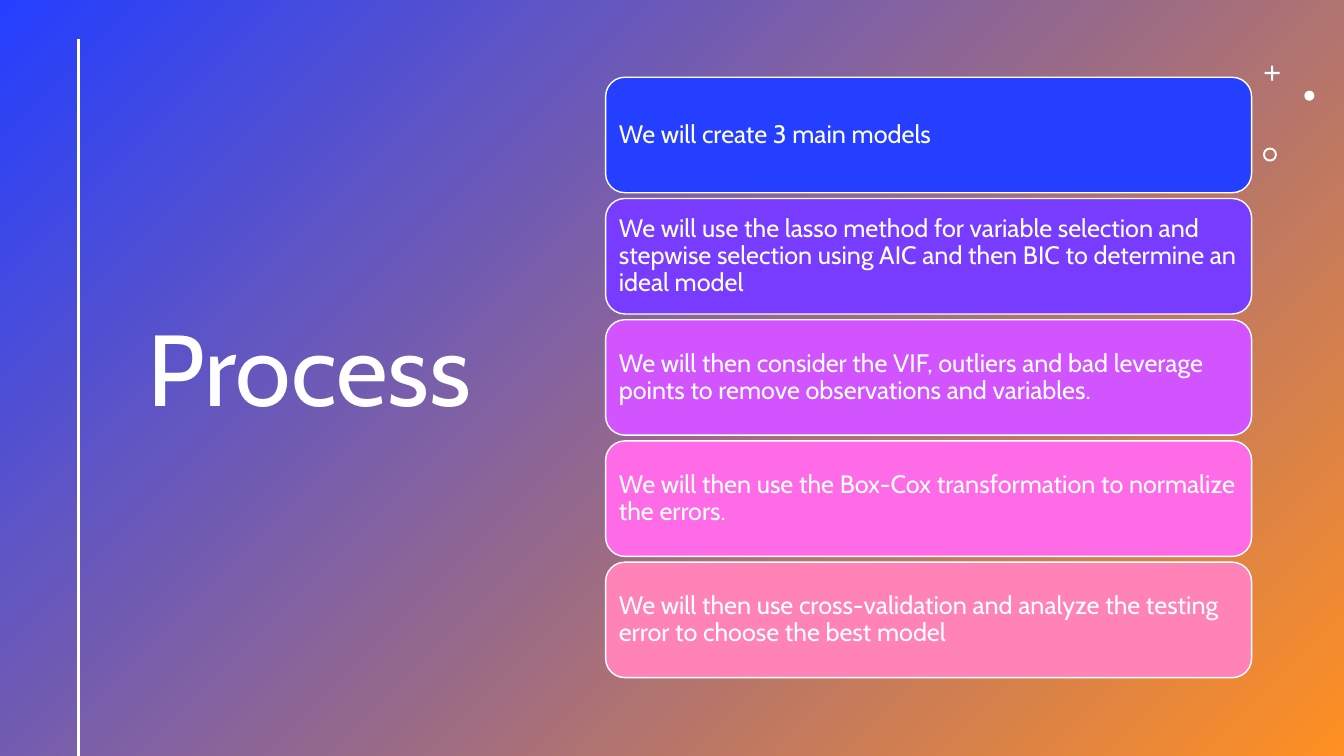
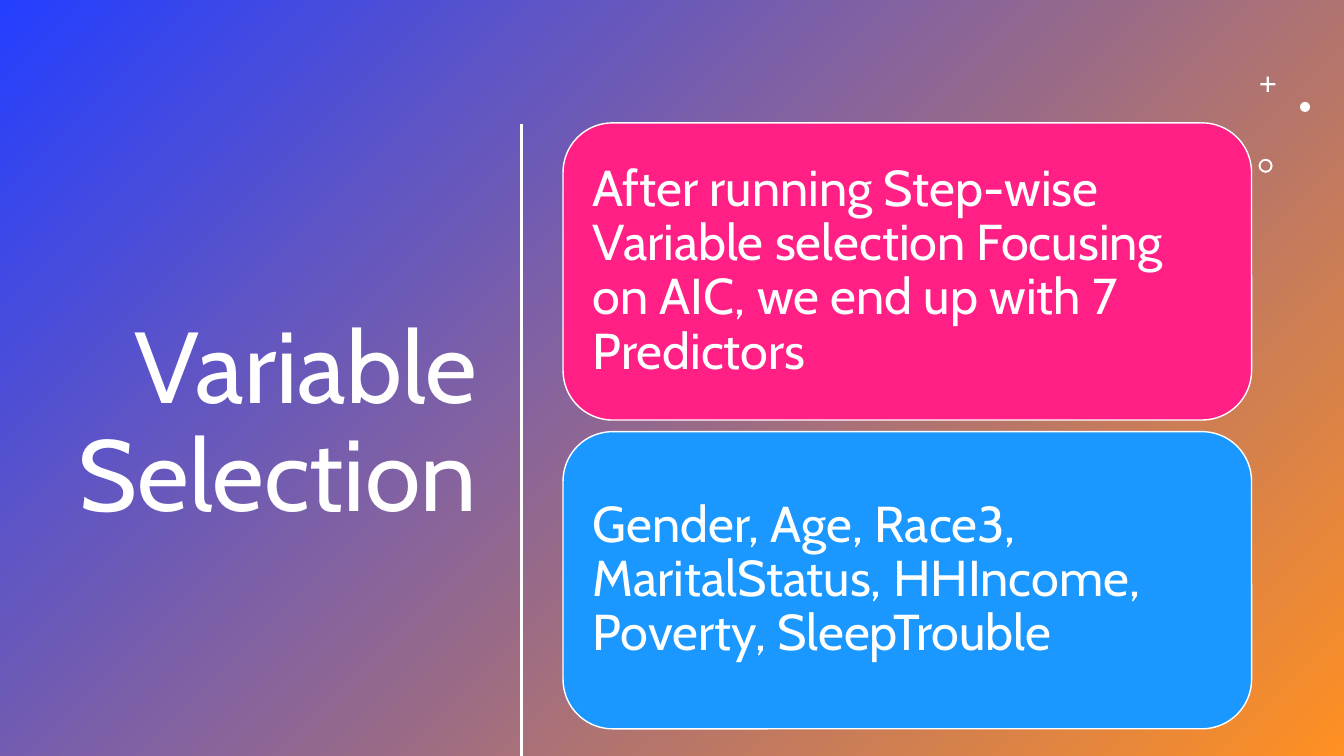
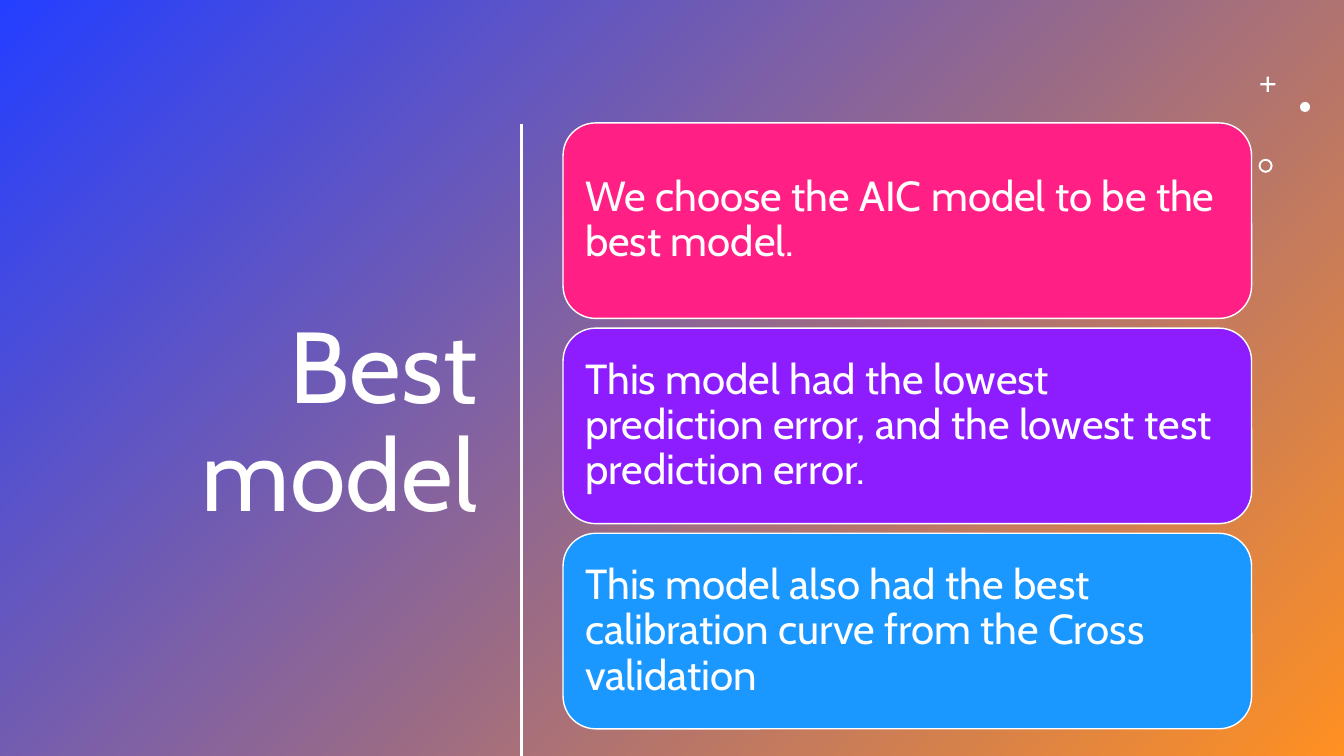
from dataclasses import dataclass

from lxml.etree import SubElement
from pptx import Presentation
from pptx.dml.color import RGBColor
from pptx.enum.shapes import MSO_CONNECTOR, MSO_SHAPE
from pptx.enum.text import MSO_ANCHOR, PP_ALIGN
from pptx.oxml.ns import qn
from pptx.shapes.autoshape import Shape
from pptx.slide import Slide
from pptx.text.text import TextFrame
from pptx.util import Pt

PAGE_WIDTH, PAGE_HEIGHT = 960, 540
FONT = "Cabin"
TITLE_SIZE = 72
LINE_SPACING = 0.9
# Card padding and gaps grow with the text size.
INSET_RATIO = 0.3
GAP_RATIO = 0.23

WHITE = RGBColor(0xFF, 0xFF, 0xFF)
BLUE = RGBColor(0x24, 0x3F, 0xFF)
ORANGE = RGBColor(0xFF, 0x90, 0x22)
INDIGO = RGBColor(0x77, 0x3C, 0xFF)
ORCHID = RGBColor(0xD1, 0x54, 0xFF)
PINK = RGBColor(0xFF, 0x6B, 0xE7)
ROSE = RGBColor(0xFF, 0x83, 0xB6)
MAGENTA = RGBColor(0xFF, 0x1F, 0x85)
VIOLET = RGBColor(0x8D, 0x1D, 0xFF)
SKY = RGBColor(0x1A, 0x98, 0xFF)


@dataclass(frozen=True)
class Box:
    left: float
    top: float
    width: float
    height: float


@dataclass(frozen=True)
class Layout:
    title: Box
    align: PP_ALIGN
    rule_x: float
    rule_top: float
    cards: Box
    ornament_x: float
    ornament_y: float


@dataclass(frozen=True)
class Ornament:
    kind: MSO_SHAPE
    dx: float
    dy: float
    size: float
    adjustment: float | None = None


@dataclass(frozen=True)
class Card:
    text: str
    color: RGBColor


@dataclass(frozen=True)
class Content:
    title: str
    layout: Layout
    text_size: float
    cards: tuple[Card, ...]


ORNAMENTS = (
    Ornament(MSO_SHAPE.CROSS, 0, 0, 10.8, 0.43),
    Ornament(MSO_SHAPE.OVAL, 28.4, 18, 7.2),
    Ornament(MSO_SHAPE.DONUT, -1.2, 58.6, 10, 0.14),
)

RULE_LEFT = Layout(Box(98.6, 46.8, 310.4, 440), PP_ALIGN.LEFT, 56.1, 28,
                   Box(432.6, 55.2, 461.4, 428.8), 903.3, 46.8)
RULE_MIDDLE = Layout(Box(37.4, 83.5, 310.4, 440), PP_ALIGN.RIGHT, 372.4, 88.5,
                     Box(402.2, 87.8, 491.8, 432.8), 900.2, 54.8)

SLIDES = (
    Content("Process", RULE_LEFT, 18, (
        Card("We will create 3 main models", BLUE),
        Card("We will use the lasso method for variable selection and stepwise "
             "selection using AIC and then BIC to determine an ideal model", INDIGO),
        Card("We will then consider the VIF, outliers and bad leverage points "
             "to remove observations and variables.", ORCHID),
        Card("We will then use the Box-Cox transformation to normalize the errors.", PINK),
        Card("We will then use cross-validation and analyze the testing error "
             "to choose the best model", ROSE),
    )),
    Content("Variable Selection", RULE_MIDDLE, 36, (
        Card("After running Step-wise Variable selection Focusing on AIC, "
             "we end up with 7 Predictors", MAGENTA),
        Card("Gender, Age, Race3, MaritalStatus, HHIncome, Poverty, SleepTrouble", SKY),
    )),
    Content("Best model", RULE_MIDDLE, 30, (
        Card("We choose the AIC model to be the best model.", MAGENTA),
        Card("This model had the lowest prediction error, and the lowest test "
             "prediction error.", VIOLET),
        Card("This model also had the best calibration curve from the Cross validation", SKY),
    )),
)


def add_flat_shape(page: Slide, kind: MSO_SHAPE, box: Box) -> Shape:
    """Add a preset shape without shadow or outline."""
    shape = page.shapes.add_shape(
        kind, Pt(box.left), Pt(box.top), Pt(box.width), Pt(box.height))
    shape.shadow.inherit = False
    shape.line.fill.background()
    return shape


def fill_solid(shape: Shape, color: RGBColor) -> None:
    shape.fill.solid()
    shape.fill.fore_color.rgb = color


def write_text(frame: TextFrame, text: str, size: float, align: PP_ALIGN) -> None:
    frame.word_wrap = True
    frame.vertical_anchor = MSO_ANCHOR.MIDDLE
    para = frame.paragraphs[0]
    para.text = text
    para.alignment = align
    para.line_spacing = LINE_SPACING
    para.font.name = FONT
    para.font.size = Pt(size)
    para.font.color.rgb = WHITE


def add_backdrop(page: Slide) -> None:
    backdrop = add_flat_shape(page, MSO_SHAPE.RECTANGLE, Box(0, 0, PAGE_WIDTH, PAGE_HEIGHT))
    backdrop.fill.gradient()
    backdrop.fill.gradient_angle = 315
    for stop, color in zip(backdrop.fill.gradient_stops, (BLUE, ORANGE)):
        stop.color.rgb = color


def add_title(page: Slide, text: str, layout: Layout) -> None:
    area = layout.title
    box = page.shapes.add_textbox(
        Pt(area.left), Pt(area.top), Pt(area.width), Pt(area.height))
    write_text(box.text_frame, text, TITLE_SIZE, layout.align)


def add_rule(page: Slide, x: float, top: float) -> None:
    """Draw the vertical line that runs off the foot of the page."""
    rule = page.shapes.add_connector(
        MSO_CONNECTOR.STRAIGHT, Pt(x), Pt(top), Pt(x), Pt(PAGE_HEIGHT))
    rule.line.color.rgb = WHITE
    rule.line.width = Pt(2)
    SubElement(rule._element.spPr, qn("a:effectLst"))


def add_ornaments(page: Slide, x: float, y: float) -> None:
    for item in ORNAMENTS:
        shape = add_flat_shape(
            page, item.kind, Box(x + item.dx, y + item.dy, item.size, item.size))
        fill_solid(shape, WHITE)
        if item.adjustment is not None:
            shape.adjustments[0] = item.adjustment


def add_cards(page: Slide, cards: tuple[Card, ...], area: Box, text_size: float) -> None:
    """Stack equal cards so that they fill the area."""
    gap = GAP_RATIO * text_size
    height = (area.height - gap * (len(cards) - 1)) / len(cards)
    inset = Pt(INSET_RATIO * text_size)
    for index, card in enumerate(cards):
        top = area.top + index * (height + gap)
        shape = add_flat_shape(
            page, MSO_SHAPE.ROUNDED_RECTANGLE, Box(area.left, top, area.width, height))
        fill_solid(shape, card.color)
        shape.line.color.rgb = WHITE
        shape.line.width = Pt(1)
        frame = shape.text_frame
        frame.margin_left = frame.margin_right = inset
        frame.margin_top = frame.margin_bottom = inset
        write_text(frame, card.text, text_size, PP_ALIGN.LEFT)


def main() -> None:
    deck = Presentation()
    deck.slide_width, deck.slide_height = Pt(PAGE_WIDTH), Pt(PAGE_HEIGHT)
    blank = deck.slide_layouts[6]
    for content in SLIDES:
        layout = content.layout
        page = deck.slides.add_slide(blank)
        add_backdrop(page)
        add_title(page, content.title, layout)
        add_rule(page, layout.rule_x, layout.rule_top)
        add_ornaments(page, layout.ornament_x, layout.ornament_y)
        add_cards(page, content.cards, layout.cards, content.text_size)
    deck.save("out.pptx")


if __name__ == "__main__":
    main()
